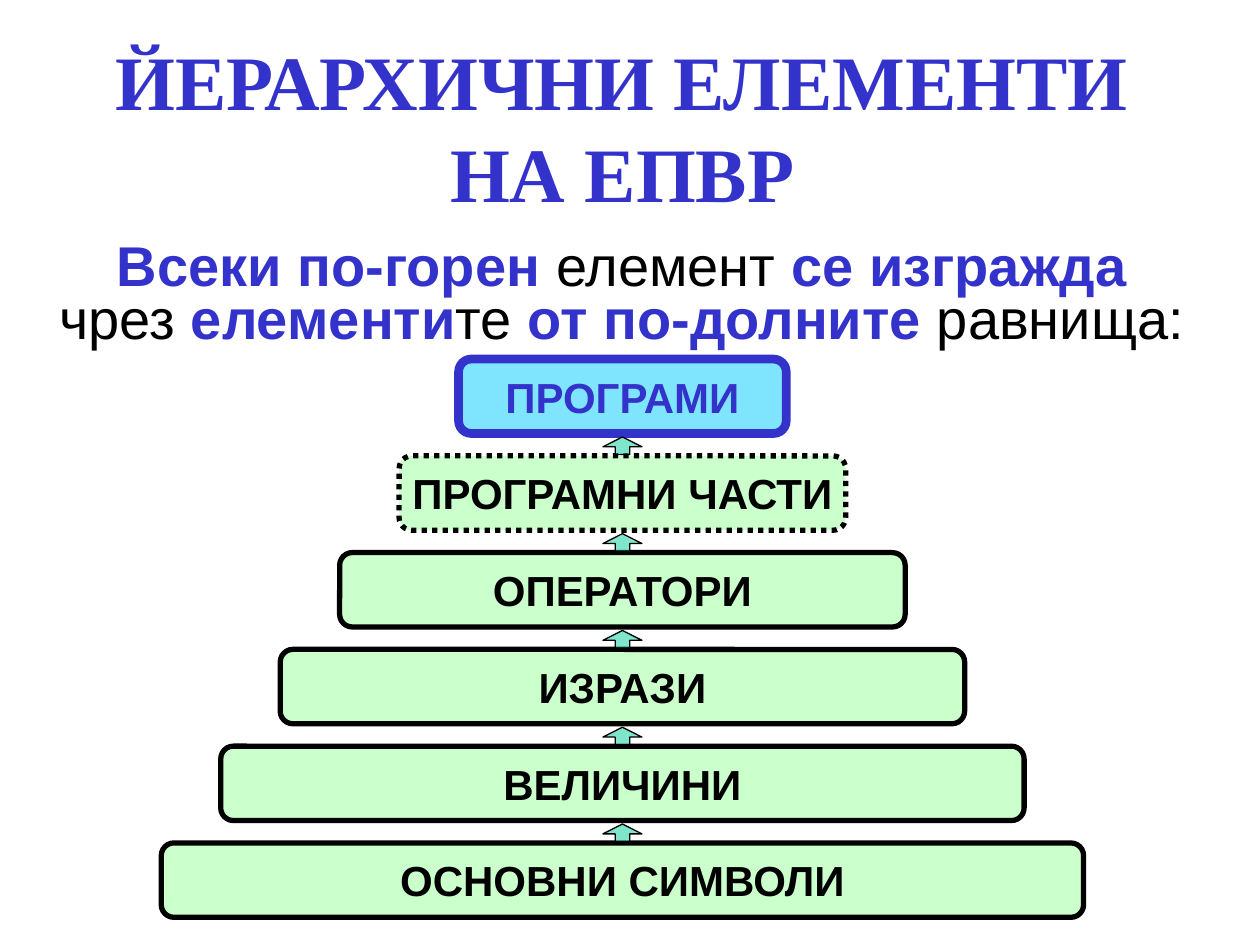
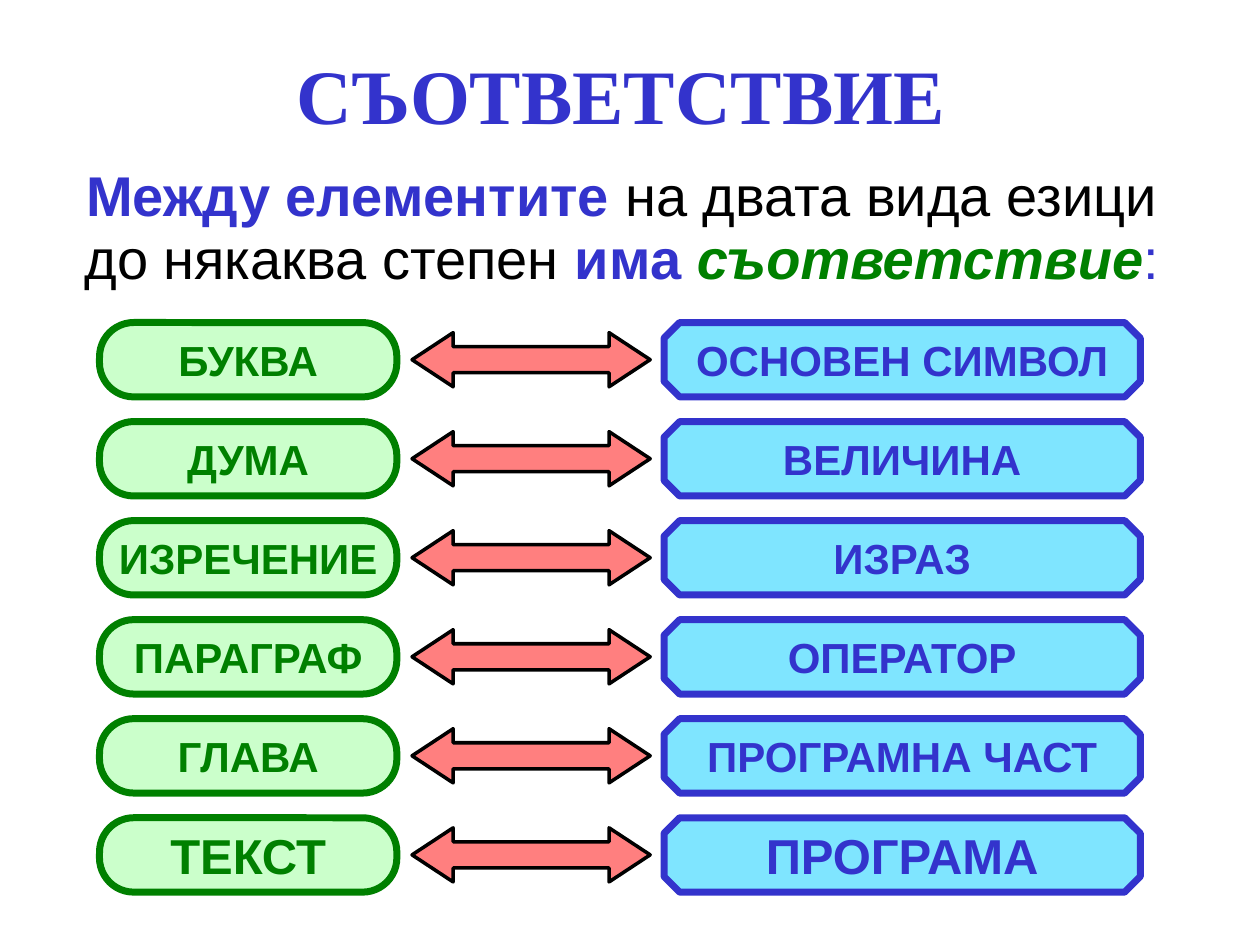
from lxml import etree
from pptx import Presentation
from pptx.dml.color import RGBColor
from pptx.enum.dml import MSO_LINE
from pptx.enum.shapes import MSO_SHAPE as Shape
from pptx.enum.text import MSO_ANCHOR as Anchor, PP_ALIGN as Align
from pptx.oxml.ns import qn
from pptx.util import Inches, Pt

COLORS = {
    "blue": "3333CC",
    "black": "000000",
    "green": "008000",
    "light_green": "99FF99",
    "sky": "00CCFF",
    "teal": "00CC99",
    "red": "FF0000",
}
BODY_FONT = "Arial"
TITLE_FONT = "Times New Roman"
OPACITY = 50

BLUE_BOLD = {"color": "blue", "bold": True}
PLAIN = {"color": "black", "bold": False}

BOX_HEIGHT = 0.59
LEVELS = ["ПРОГРАМИ", "ПРОГРАМНИ ЧАСТИ", "ОПЕРАТОРИ", "ИЗРАЗИ", "ВЕЛИЧИНИ", "ОСНОВНИ СИМВОЛИ"]
PAIRS = [
    ("БУКВА", "ОСНОВЕН СИМВОЛ"),
    ("ДУМА", "ВЕЛИЧИНА"),
    ("ИЗРЕЧЕНИЕ", "ИЗРАЗ"),
    ("ПАРАГРАФ", "ОПЕРАТОР"),
    ("ГЛАВА", "ПРОГРАМНА ЧАСТ"),
    ("ТЕКСТ", "ПРОГРАМА"),
]


def rgb(name):
    return RGBColor.from_string(COLORS[name])


def add_span(para, text, color, **font_values):
    span = para.add_run()
    span.text = text
    span.font.color.rgb = rgb(color)
    for name, value in font_values.items():
        setattr(span.font, name, value)


def add_text(page, place, spans, font_name, size, anchor, line_spacing=1.0, top_inset=0.05):
    """Add a centred text box; spans are (text, format values) pairs."""
    frame = page.shapes.add_textbox(*map(Inches, place)).text_frame
    frame_values = {"word_wrap": True, "vertical_anchor": anchor, "margin_top": Inches(top_inset)}
    for name, value in frame_values.items():
        setattr(frame, name, value)
    para = frame.paragraphs[0]
    para.alignment = Align.CENTER
    para.line_spacing = line_spacing
    for text, values in spans:
        add_span(para, text, name=font_name, size=Pt(size), **values)


def add_title(page, place, text):
    add_text(page, place, [(text, BLUE_BOLD)], TITLE_FONT, 44, Anchor.MIDDLE)


def add_intro(page, place, spans, line_spacing):
    add_text(page, place, spans, BODY_FONT, 32, Anchor.TOP, line_spacing, 0.09)


def add_figure(page, kind, place, adjustments, fill, line, line_width):
    """Add a preset shape with a half-transparent fill."""
    figure = page.shapes.add_shape(kind, *map(Inches, place))
    figure.shadow.inherit = False
    for index, value in enumerate(adjustments):
        figure.adjustments[index] = value
    figure.fill.solid()
    figure.fill.fore_color.rgb = rgb(fill)
    color = figure.fill._xPr.find(f"{qn('a:solidFill')}/{qn('a:srgbClr')}")
    etree.SubElement(color, qn("a:alpha"), val=str(OPACITY * 1000))
    figure.line.color.rgb = rgb(line)
    figure.line.width = Pt(line_width)
    return figure


def add_label_box(page, kind, place, adjustment, fill, line, line_width, text, size=24):
    """Add a shape whose bold label has the colour of its outline."""
    box = add_figure(page, kind, place, [adjustment], fill, line, line_width)
    frame = box.text_frame
    frame.word_wrap = False
    frame.vertical_anchor = Anchor.MIDDLE
    para = frame.paragraphs[0]
    para.alignment = Align.CENTER
    add_span(para, text, line, name=BODY_FONT, size=Pt(size), bold=True)
    return box


def add_pyramid(page):
    center, first_top, top_width = 4.94, 2.85, 2.6
    last = len(LEVELS) - 1
    row_step = (6.69 - first_top) / last
    width_step = (7.32 - top_width) / last
    arrow_width, arrow_height, arrow_rise = 0.31, 0.14, 0.15

    for index, text in enumerate(LEVELS):
        width = top_width + index * width_step
        place = (center - width / 2, first_top + index * row_step, width, BOX_HEIGHT)
        style = ("sky", "blue", 5) if index == 0 else ("light_green", "black", 3)
        box = add_label_box(page, Shape.ROUNDED_RECTANGLE, place, 0.17, *style, text)
        if text == "ПРОГРАМНИ ЧАСТИ":
            box.line.dash_style = MSO_LINE.ROUND_DOT

    for index in range(1, len(LEVELS)):
        top = first_top + index * row_step - arrow_rise
        place = (center - arrow_width / 2, top, arrow_width, arrow_height)
        add_figure(page, Shape.UP_ARROW, place, [0.37, 0.56], "teal", "black", 0.75)


def add_pairs(page):
    first_top, last_top = 2.56, 6.49
    row_step = (last_top - first_top) / (len(PAIRS) - 1)
    for index, (language_item, program_item) in enumerate(PAIRS):
        top = first_top + index * row_step
        size = 28 if index == len(PAIRS) - 1 else 24
        add_label_box(page, Shape.ROUNDED_RECTANGLE, (0.79, top, 2.36, BOX_HEIGHT), 0.46,
                      "light_green", "green", 4, language_item, size)
        add_label_box(page, Shape.OCTAGON, (5.27, top, 3.78, BOX_HEIGHT), 0.21,
                      "sky", "blue", 4, program_item, size)
        add_figure(page, Shape.LEFT_RIGHT_ARROW, (3.27, top + 0.08, 1.89, 0.43), [0.48, 0.76],
                   "red", "black", 2)


def add_hierarchy_page(page):
    add_title(page, (0.67, 0.25, 8.54, 1.5), "ЙЕРАРХИЧНИ ЕЛЕМЕНТИ НА ЕПВР")
    add_intro(page, (0.33, 1.84, 9.21, 1), [
        ("Всеки по-горен", BLUE_BOLD),
        (" елемент ", PLAIN),
        ("се изгражда", BLUE_BOLD),
        (" чрез ", PLAIN),
        ("елементи", BLUE_BOLD),
        ("те ", PLAIN),
        ("от по-долните", BLUE_BOLD),
        (" равнища:", PLAIN),
    ], 0.8)
    add_pyramid(page)


def add_correspondence_page(page):
    add_title(page, (0.58, 0.33, 8.7, 0.83), "СЪОТВЕТСТВИЕ")
    add_intro(page, (0.41, 1.22, 9.05, 1.17), [
        ("Между елементите ", BLUE_BOLD),
        ("на двата вида езици до някаква степен ", PLAIN),
        ("има ", BLUE_BOLD),
        ("съответствие", {"color": "green", "bold": True, "italic": True}),
        (":", {"color": "blue", "bold": False}),
    ], 0.95)
    add_pairs(page)


def main():
    deck = Presentation()
    deck.slide_width, deck.slide_height = Inches(10), Inches(7.5)
    blank = deck.slide_layouts[6]
    for fill_page in (add_hierarchy_page, add_correspondence_page):
        fill_page(deck.slides.add_slide(blank))
    deck.save("out.pptx")


if __name__ == "__main__":
    main()
